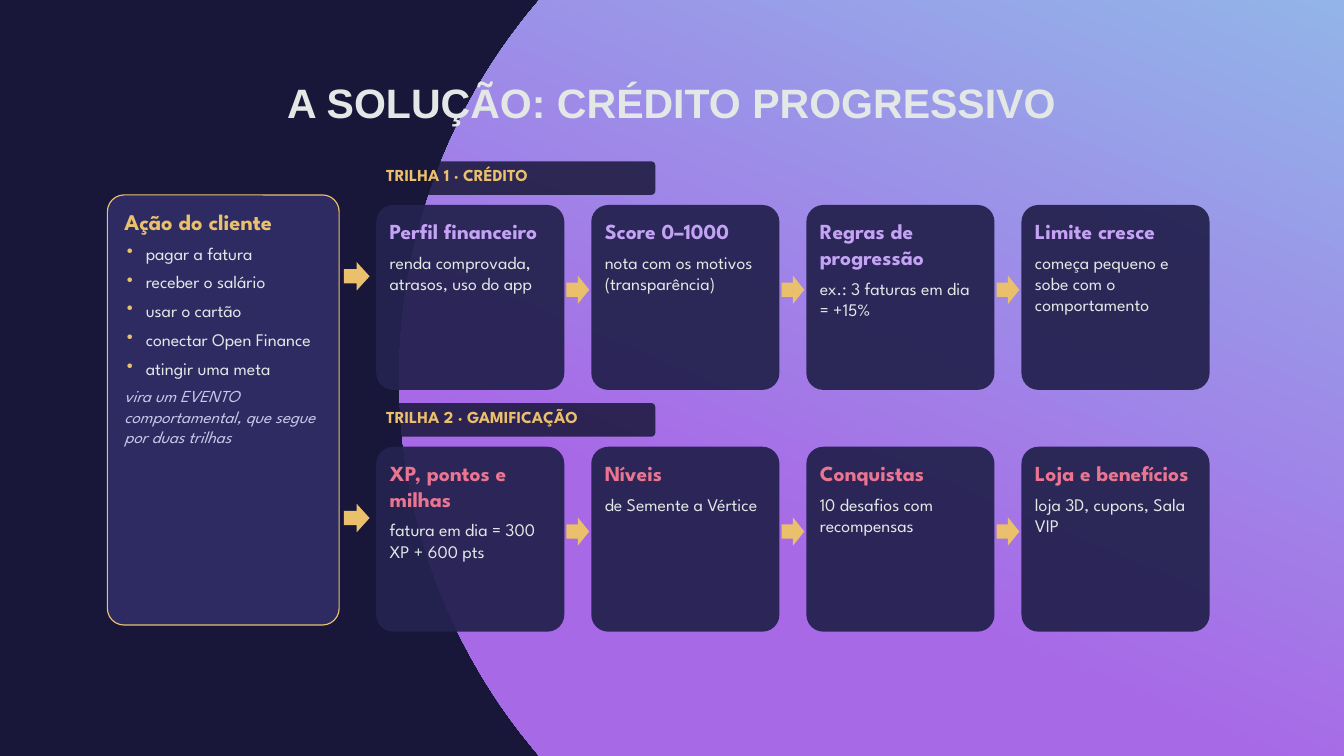
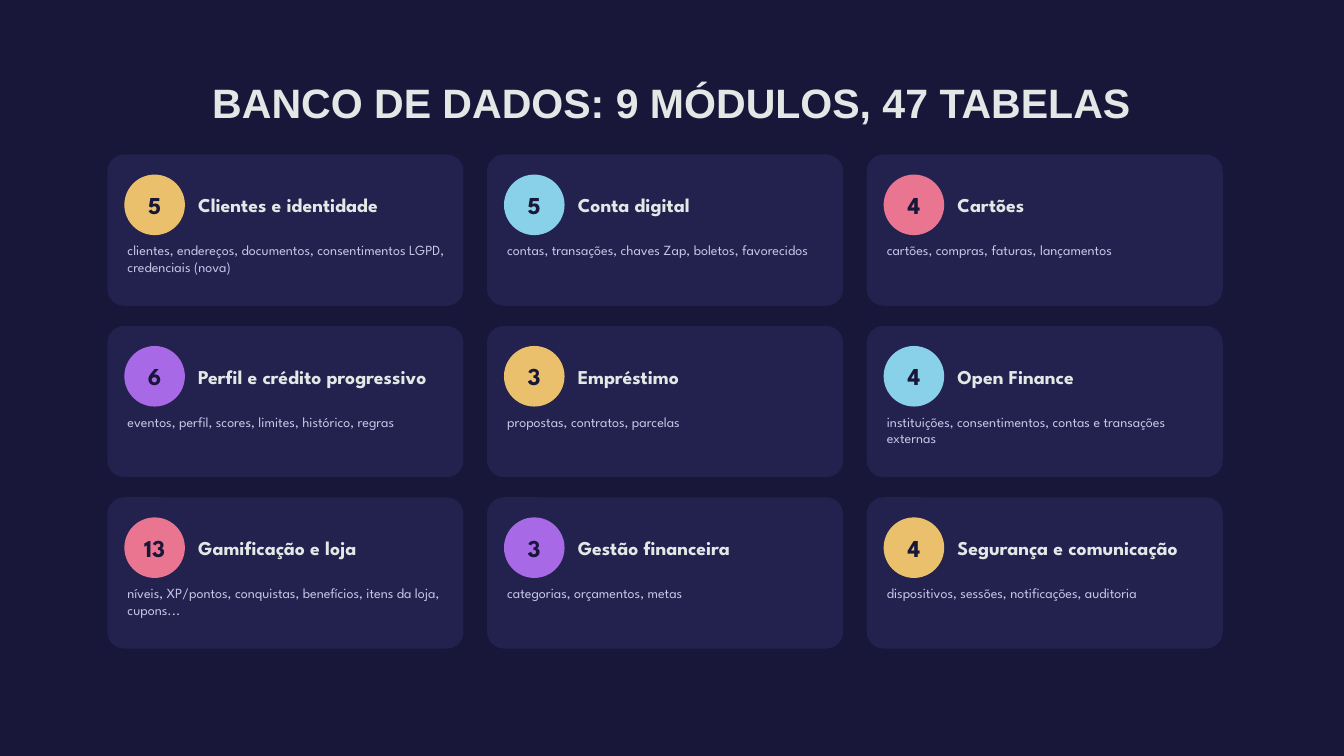
from lxml.etree import SubElement
from pptx import Presentation
from pptx.dml.color import RGBColor
from pptx.enum.shapes import MSO_SHAPE
from pptx.enum.text import MSO_ANCHOR, MSO_AUTO_SIZE, PP_ALIGN
from pptx.oxml.ns import qn
from pptx.util import Cm, Pt

# Shared style
COLORS = {
    "night": "18173A", "card": "24224F", "action": "2E2B63",
    "light": "E3E7E6", "muted": "C9C7E8", "gold": "EAC06C",
    "blue": "89D0E9", "pink": "EA7591", "purple": "A869E7", "lilac": "C4A3F5",
}
BODY_FONT = "League Spartan"
TITLE_FONT = "Arial"
LEFT = 4.06

# Slide 1 content
SOLUTION_TITLE = "A SOLUÇÃO: CRÉDITO PROGRESSIVO"
ACTION_HEADING = "Ação do cliente"
ACTIONS = ["pagar a fatura", "receber o salário", "usar o cartão",
           "conectar Open Finance", "atingir uma meta"]
ACTION_RESULT = "vira um EVENTO comportamental, que segue por duas trilhas"
TRACKS = [
    ("TRILHA 1 · CRÉDITO", "lilac", [
        ("Perfil financeiro", "renda comprovada, atrasos, uso do app"),
        ("Score 0–1000", "nota com os motivos (transparência)"),
        ("Regras de progressão", "ex.: 3 faturas em dia = +15%"),
        ("Limite cresce", "começa pequeno e sobe com o comportamento"),
    ]),
    ("TRILHA 2 · GAMIFICAÇÃO", "pink", [
        ("XP, pontos e milhas", "fatura em dia = 300 XP + 600 pts"),
        ("Níveis", "de Semente a Vértice"),
        ("Conquistas", "10 desafios com recompensas"),
        ("Loja e benefícios", "loja 3D, cupons, Sala VIP"),
    ]),
]

# Slide 2 content
DATABASE_TITLE = "BANCO DE DADOS: 9 MÓDULOS, 47 TABELAS"
MODULES = [
    (5, "gold", "Clientes e identidade",
     "clientes, endereços, documentos, consentimentos LGPD, credenciais (nova)"),
    (5, "blue", "Conta digital",
     "contas, transações, chaves Zap, boletos, favorecidos"),
    (4, "pink", "Cartões", "cartões, compras, faturas, lançamentos"),
    (6, "purple", "Perfil e crédito progressivo",
     "eventos, perfil, scores, limites, histórico, regras"),
    (3, "gold", "Empréstimo", "propostas, contratos, parcelas"),
    (4, "blue", "Open Finance",
     "instituições, consentimentos, contas e transações externas"),
    (13, "pink", "Gamificação e loja",
     "níveis, XP/pontos, conquistas, benefícios, itens da loja, cupons..."),
    (3, "purple", "Gestão financeira", "categorias, orçamentos, metas"),
    (4, "gold", "Segurança e comunicação",
     "dispositivos, sessões, notificações, auditoria"),
]


def rgb(color):
    return RGBColor.from_string(COLORS[color])


def prepare_frame(frame, anchor=MSO_ANCHOR.TOP):
    frame.word_wrap = True
    frame.auto_size = MSO_AUTO_SIZE.NONE
    frame.vertical_anchor = anchor
    frame.margin_left = frame.margin_right = Cm(0)
    frame.margin_top = frame.margin_bottom = Cm(0)


def add_run(paragraph, text, size, color, bold=False, italic=False, font=BODY_FONT):
    run = paragraph.add_run()
    run.text = text
    run.font.name, run.font.size = font, Pt(size)
    run.font.bold, run.font.italic = bold, italic
    run.font.color.rgb = rgb(color)


def add_bullet(paragraph, color):
    properties = paragraph._p.get_or_add_pPr()
    properties.set("marL", str(Cm(0.81)))
    properties.set("indent", str(Cm(-0.71)))
    bullet_color = SubElement(properties, qn("a:buClr"))
    SubElement(bullet_color, qn("a:srgbClr"), val=COLORS[color])
    SubElement(properties, qn("a:buChar"), char="•")


def add_text(slide, box, paragraphs, anchor=MSO_ANCHOR.TOP):
    """Each paragraph is (text, size, color, style), where style may hold a bullet color."""
    frame = slide.shapes.add_textbox(*map(Cm, box)).text_frame
    prepare_frame(frame, anchor)
    for index, (text, size, color, style) in enumerate(paragraphs):
        paragraph = frame.add_paragraph() if index else frame.paragraphs[0]
        bullet = style.get("bullet")
        if bullet:
            add_bullet(paragraph, bullet)
        paragraph.space_after = Pt(8)
        add_run(paragraph, text, size, color,
                style.get("bold", False), style.get("italic", False))


def add_part(slide, kind, box, fill, radius=None, opacity=None, line=None):
    part = slide.shapes.add_shape(kind, *map(Cm, box))
    part.shadow.inherit = False
    part.fill.solid()
    part.fill.fore_color.rgb = rgb(fill)
    if radius:
        part.adjustments[0] = radius
    if opacity:
        color = part._element.spPr.find(qn("a:solidFill")).find(qn("a:srgbClr"))
        SubElement(color, qn("a:alpha"), val=str(opacity * 1000))
    if line:
        part.line.color.rgb = rgb(line)
        part.line.width = Pt(1.25)
    else:
        part.line.fill.background()
    return part


def add_titled_slide(deck, text):
    slide = deck.slides.add_slide(deck.slide_layouts[5])
    slide.background.fill.solid()
    slide.background.fill.fore_color.rgb = rgb("night")
    title = slide.shapes.title
    title.left, title.top, title.width, title.height = map(Cm, (3.81, 2.67, 43.18, 2.41))
    prepare_frame(title.text_frame, MSO_ANCHOR.MIDDLE)
    paragraph = title.text_frame.paragraphs[0]
    paragraph.alignment = PP_ALIGN.CENTER
    add_run(paragraph, text, 44, "light", bold=True, font=TITLE_FONT)
    return slide


def add_backdrop(slide):
    backdrop = add_part(slide, MSO_SHAPE.OVAL, (15.09, -7.62, 43.82, 43.82), "purple")
    backdrop.fill.gradient()
    backdrop.fill.gradient_angle = 247
    stops = backdrop.fill.gradient_stops
    for stop, color, position in zip(stops, ("blue", "purple"), (0, 0.66)):
        stop.color.rgb = rgb(color)
        stop.position = position
    slide.shapes._spTree.insert(2, backdrop._element)  # behind the title


def add_track(slide, top, label, accent, steps):
    # Track label and the arrow coming from the client action
    add_part(slide, MSO_SHAPE.ROUNDED_RECTANGLE, (14.1, top, 10.67, 1.27),
             "night", 0.12, 85)
    add_text(slide, (14.6, top + 0.12, 10.16, 1.02), [(label, 18, "gold", {"bold": True})])
    add_part(slide, MSO_SHAPE.RIGHT_ARROW, (13, top + 3.81, 0.97, 1.07), "gold")

    # Step cards, joined by arrows
    card_top = top + 1.65
    for index, (heading, detail) in enumerate(steps):
        left = 14.22 + index * 8.13
        if index:
            add_part(slide, MSO_SHAPE.RIGHT_ARROW,
                     (left - 0.94, card_top + 2.67, 0.86, 1.07), "gold")
        add_part(slide, MSO_SHAPE.ROUNDED_RECTANGLE, (left, card_top, 7.11, 6.99),
                 "card", 0.091, 94)
        add_text(slide, (left + 0.51, card_top + 0.51, 6.1, 6.1),
                 [(heading, 23, accent, {"bold": True}), (detail, 19, "light", {})])


def build_solution(deck):
    slide = add_titled_slide(deck, SOLUTION_TITLE)
    add_backdrop(slide)

    # Client action
    add_part(slide, MSO_SHAPE.ROUNDED_RECTANGLE, (LEFT, 7.37, 8.76, 16.26),
             "action", 0.072, line="gold")
    add_text(slide, (LEFT + 0.64, 7.87, 7.62, 15.24), [
        (ACTION_HEADING, 24, "gold", {"bold": True}),
        *[(action, 19, "light", {"bullet": "gold"}) for action in ACTIONS],
        (ACTION_RESULT, 18, "muted", {"italic": True}),
    ])

    for index, track in enumerate(TRACKS):
        add_track(slide, 6.1 + index * 9.14, *track)


def build_database(deck):
    slide = add_titled_slide(deck, DATABASE_TITLE)
    for index, (count, color, name, tables) in enumerate(MODULES):
        row, column = divmod(index, 3)
        left, top = LEFT + column * 14.35, 5.84 + row * 6.48
        add_part(slide, MSO_SHAPE.ROUNDED_RECTANGLE, (left, top, 13.46, 5.72),
                 "card", 0.111, 92)

        # Table count
        badge = add_part(slide, MSO_SHAPE.OVAL, (left + 0.64, top + 0.76, 2.29, 2.29), color)
        prepare_frame(badge.text_frame, MSO_ANCHOR.MIDDLE)
        paragraph = badge.text_frame.paragraphs[0]
        paragraph.alignment = PP_ALIGN.CENTER
        add_run(paragraph, str(count), 26, "night", bold=True)

        # Module name and its tables
        add_text(slide, (left + 3.43, top + 0.71, 9.53, 2.41),
                 [(name, 21, "light", {"bold": True})], MSO_ANCHOR.MIDDLE)
        add_text(slide, (left + 0.76, top + 3.3, 12.19, 2.29), [(tables, 15, "muted", {})])


def main():
    deck = Presentation()
    deck.slide_width, deck.slide_height = Cm(50.8), Cm(28.58)
    build_solution(deck)
    build_database(deck)
    deck.save("out.pptx")


if __name__ == "__main__":
    main()
